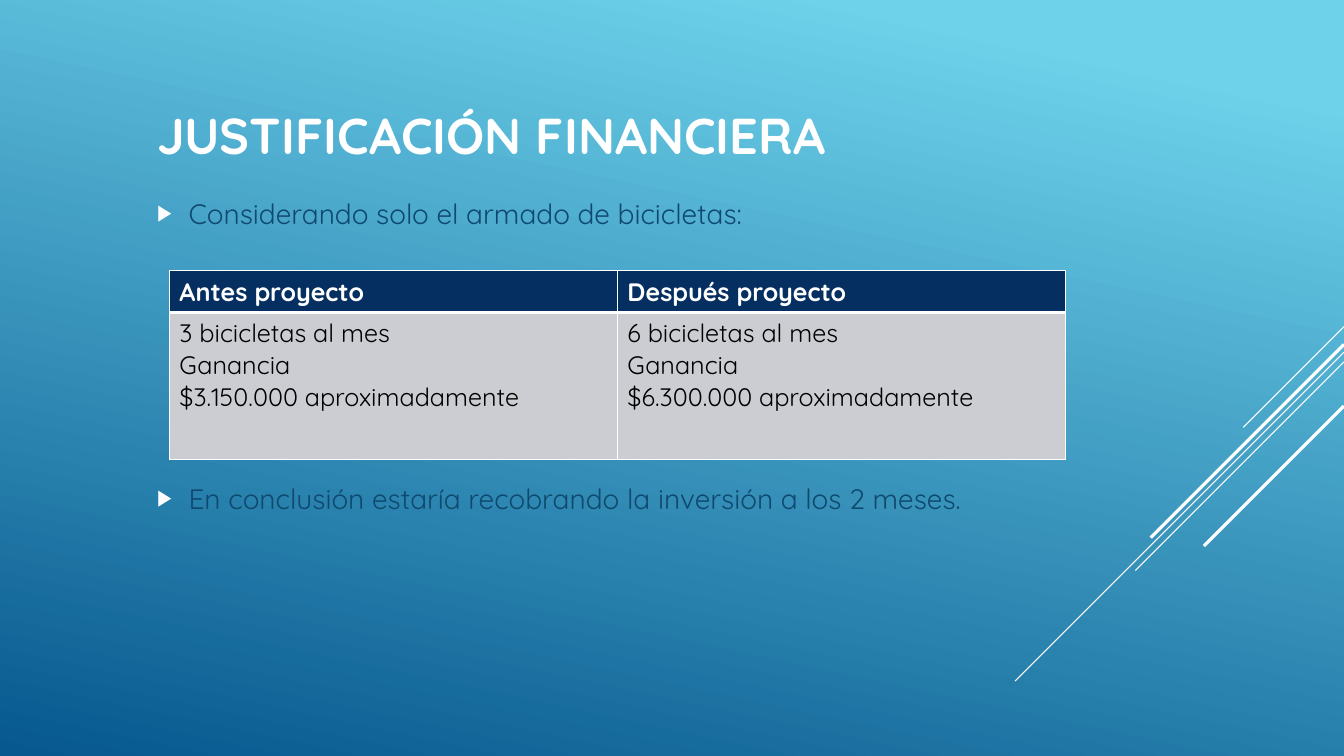
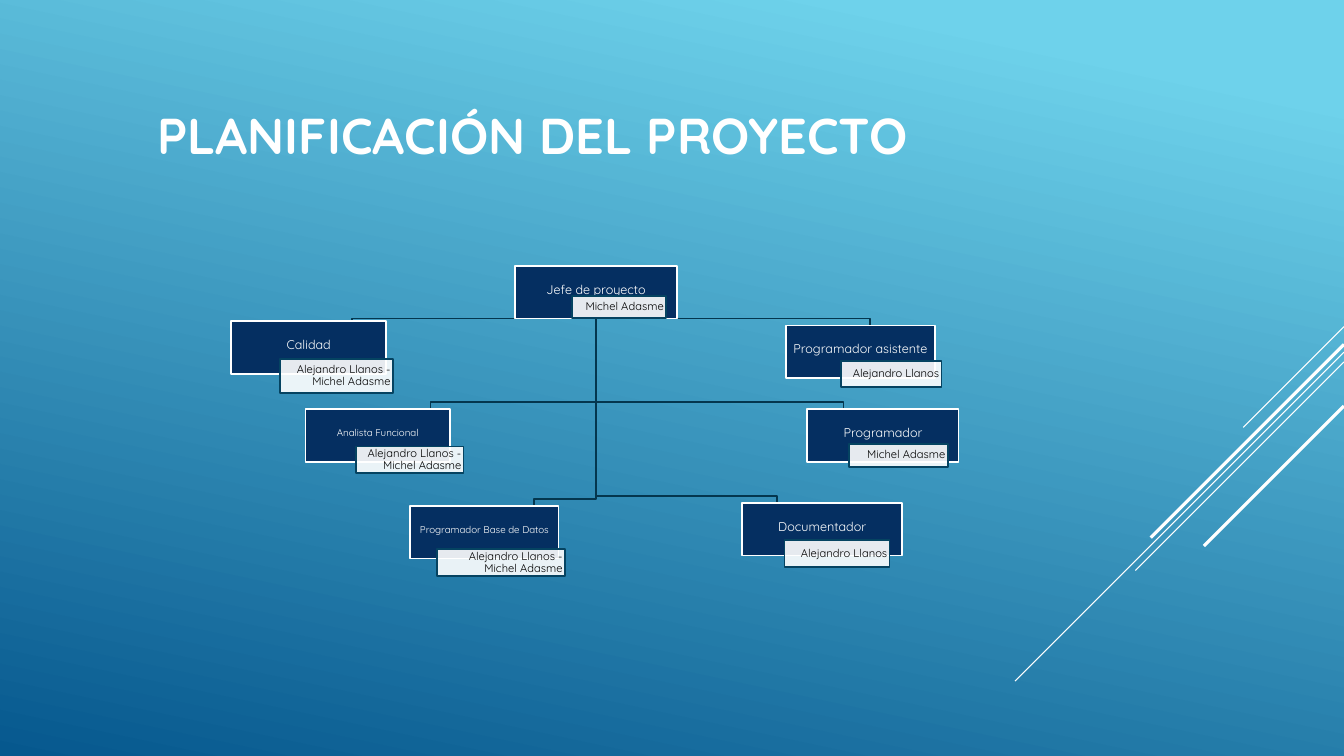
from lxml.etree import SubElement
from pptx import Presentation
from pptx.dml.color import RGBColor
from pptx.enum.shapes import MSO_CONNECTOR, MSO_SHAPE
from pptx.enum.text import MSO_ANCHOR, MSO_AUTO_SIZE, PP_ALIGN
from pptx.oxml.ns import qn
from pptx.util import Pt

WHITE, BLACK = "FFFFFF", "000000"
NAVY, INK, GREY = "052F61", "0F496F", "CCCDD2"
TREE_LINE, LABEL_LINE = "04364E", "054361"
SKY, DEEP = "6ED2EB", "06588E"
FONT = "Quicksand"
WIDTH, HEIGHT = 960, 540
STRIPES = [(233.3, 72, 0.75), (251.5, 235, 0.75), (258.5, 149, 0.75),
           (246, 138, 2.25), (290, 100, 2.25)]


def color(code):
    """Turn a hex string into a colour."""
    return RGBColor.from_string(code)


def points(*lengths):
    """Turn numbers into lengths in points."""
    return [Pt(length) for length in lengths]


class Deck:
    """Holds the shared style and the current slide."""

    def __init__(self):
        """Set the slide size and the shared gradient background."""
        self.prs = Presentation()
        self.prs.slide_width, self.prs.slide_height = points(WIDTH, HEIGHT)
        backdrop = self.prs.slide_master.background.fill
        backdrop.gradient()
        backdrop.gradient_angle = 258
        for stop, position, code in zip(backdrop.gradient_stops, (0.1, 1), (SKY, DEEP)):
            stop.position = position
            stop.color.rgb = color(code)

    def start_slide(self, title, layout):
        """Open a slide with the stripes and a title."""
        self.slide = self.prs.slides.add_slide(self.prs.slide_layouts[layout])
        for top, reach, weight in STRIPES:
            self.stripe(top, reach, weight)
        heading = self.slide.shapes.title
        self.place(heading, 105, 36.7, 672, 118.8)
        heading.text_frame.vertical_anchor = MSO_ANCHOR.MIDDLE
        paragraph = heading.text_frame.paragraphs[0]
        paragraph.alignment = PP_ALIGN.LEFT
        self.run(paragraph, title, 36, WHITE, True)

    def stripe(self, top, reach, weight):
        """Draw a diagonal stripe down from the right edge."""
        diagonal = self.slide.shapes.add_connector(
            MSO_CONNECTOR.STRAIGHT, *points(WIDTH, top, WIDTH - reach, top + reach))
        diagonal.line.color.rgb = color(WHITE)
        diagonal.line.width = Pt(weight)
        SubElement(diagonal._element.spPr, qn("a:effectLst"))

    def place(self, placeholder, left, top, width, height):
        """Move a placeholder and fix its text size."""
        placeholder.left, placeholder.top = points(left, top)
        placeholder.width, placeholder.height = points(width, height)
        placeholder.text_frame.auto_size = MSO_AUTO_SIZE.NONE

    def run(self, paragraph, text, size, code, bold=False):
        """Add one styled run."""
        piece = paragraph.add_run()
        piece.text = text
        piece.font.name, piece.font.size = FONT, Pt(size)
        piece.font.bold = bold
        piece.font.color.rgb = color(code)

    def bullets(self, items, gap, frame):
        """Fill the body placeholder with spaced bullets."""
        body = self.slide.placeholders[1]
        self.place(body, *frame)
        body.text_frame.vertical_anchor = MSO_ANCHOR.TOP
        for index, item in enumerate(items):
            paragraph = body.text_frame.add_paragraph() if index else body.text_frame.paragraphs[0]
            paragraph.space_before = Pt(gap if index else 0)
            paragraph.space_after = Pt(6)
            props = paragraph._p.get_or_add_pPr()
            props.set("marL", str(Pt(22.5)))
            props.set("indent", str(Pt(-22.5)))
            tint = SubElement(props, qn("a:buClr"))
            SubElement(tint, qn("a:srgbClr"), val=WHITE)
            SubElement(props, qn("a:buSzPct"), val="80000")
            SubElement(props, qn("a:buChar"), char="▶")
            self.run(paragraph, item, 20, INK)

    def border(self, cell, side, weight):
        """Draw one white side of a cell."""
        edge = SubElement(cell._tc.get_or_add_tcPr(), qn("a:ln" + side), w=str(Pt(weight)))
        SubElement(SubElement(edge, qn("a:solidFill")), qn("a:srgbClr"), val=WHITE)

    def table(self, rows, heights, frame):
        """Add a table with a dark header row."""
        grid = self.slide.shapes.add_table(len(rows), len(rows[0]), *points(*frame)).table
        grid.horz_banding = False
        for r, (row, height) in enumerate(zip(rows, heights)):
            grid.rows[r].height = Pt(height)
            header = r == 0
            for c, lines in enumerate(row):
                cell = grid.cell(r, c)
                for side in "LRTB":
                    under_header = side == ("B" if header else "T")
                    self.border(cell, side, 3 if under_header else 1)
                cell.fill.solid()
                cell.fill.fore_color.rgb = color(NAVY if header else GREY)
                for index, line in enumerate(lines):
                    frame_text = cell.text_frame
                    paragraph = frame_text.add_paragraph() if index else frame_text.paragraphs[0]
                    self.run(paragraph, line, 18, WHITE if header else BLACK, header)

    def branch(self, trunk, child_x, child_top):
        """Draw an angled line from the trunk to a child."""
        trunk_x, trunk_y = trunk
        bend = max(trunk_y, child_top - 5)
        path = self.slide.shapes.build_freeform(*points(trunk_x, trunk_y))
        path.add_line_segments(
            [points(*spot) for spot in ((trunk_x, bend), (child_x, bend), (child_x, child_top))],
            close=False)
        outline = path.convert_to_shape()
        outline.shadow.inherit = False
        outline.fill.background()
        outline.line.color.rgb = color(TREE_LINE)
        outline.line.width = Pt(1.25)

    def box(self, frame, text, size, fill, edge, ink, align, margins):
        """Draw an outlined rectangle with text."""
        card = self.slide.shapes.add_shape(MSO_SHAPE.RECTANGLE, *points(*frame))
        card.shadow.inherit = False
        card.fill.solid()
        card.fill.fore_color.rgb = color(fill)
        card.line.color.rgb = color(edge)
        card.line.width = Pt(1.25)
        words = card.text_frame
        words.word_wrap = True
        words.vertical_anchor = MSO_ANCHOR.MIDDLE
        (words.margin_left, words.margin_top,
         words.margin_right, words.margin_bottom) = points(*margins)
        paragraph = words.paragraphs[0]
        paragraph.alignment = align
        paragraph.line_spacing = 0.9
        self.run(paragraph, text, size, ink)
        return card

    def role(self, title, size, frame, people, label_frame):
        """Draw a role box with the label of its people."""
        self.box(frame, title, size, NAVY, WHITE, WHITE, PP_ALIGN.CENTER, (0, 0, 0, 3))
        label = self.box(label_frame, people, 8, WHITE, LABEL_LINE, BLACK,
                         PP_ALIGN.RIGHT, (1.5, 0.5, 1.5, 0.5))
        tint = label._element.spPr.find(qn("a:solidFill")).find(qn("a:srgbClr"))
        SubElement(tint, qn("a:alpha"), val="90000")


def main():
    """Build and save the deck."""
    deck = Deck()

    deck.start_slide("JUSTIFICACIÓN FINANCIERA", 1)
    deck.bullets(["Considerando solo el armado de bicicletas:",
                  "En conclusión estaría recobrando la inversión a los 2 meses."],
                 173.5, (105, 136.5, 672, 250))
    deck.table([[["Antes proyecto"], ["Después proyecto"]],
                [["3 bicicletas al mes", "Ganancia", "$3.150.000 aproximadamente"],
                 ["6 bicicletas al mes", "Ganancia", "$6.300.000 aproximadamente"]]],
               (29.5, 105), (121, 193.5, 640, 134.5))

    deck.start_slide("PLANIFICACIÓN DEL PROYECTO", 5)
    michel, alejandro = "Michel Adasme", "Alejandro Llanos"
    both = f"{alejandro} - {michel}"
    role_height = 37.5
    trunk = (425.5, 227.5)
    team = [
        ("Calidad", 9, (165, 229.5, 111), 251.3, both, (200, 256.3, 80.6, 24.2)),
        ("Analista Funcional", 7, (218.3, 292.3, 103), 307.5, both, (254.2, 319, 77, 18.7)),
        ("Programador Base de Datos", 7, (293, 361.4, 106), 381.6, both, (312, 392.2, 91.5, 19.2)),
        ("Documentador", 9, (530, 359.3, 114.5), 555.2, alejandro, (560.4, 385.6, 75, 19.5)),
        ("Programador", 9, (576.7, 292.3, 108), 602.6, michel, (606.3, 317, 70.6, 16.5)),
        ("Programador asistente", 9, (561.3, 232.5, 106.5), 621.4, alejandro,
         (600.5, 257.8, 72, 18.7)),
    ]
    for _, _, (_, top, _), line_x, _, _ in team:
        deck.branch(trunk, line_x, top)
    deck.role("Jefe de proyecto", 9, (368, 190, 115.5, role_height),
              michel, (408.8, 211.7, 67, 15.3))
    for title, size, place, _, people, label_frame in team:
        deck.role(title, size, (*place, role_height), people, label_frame)

    deck.prs.save("out.pptx")


if __name__ == "__main__":
    main()
